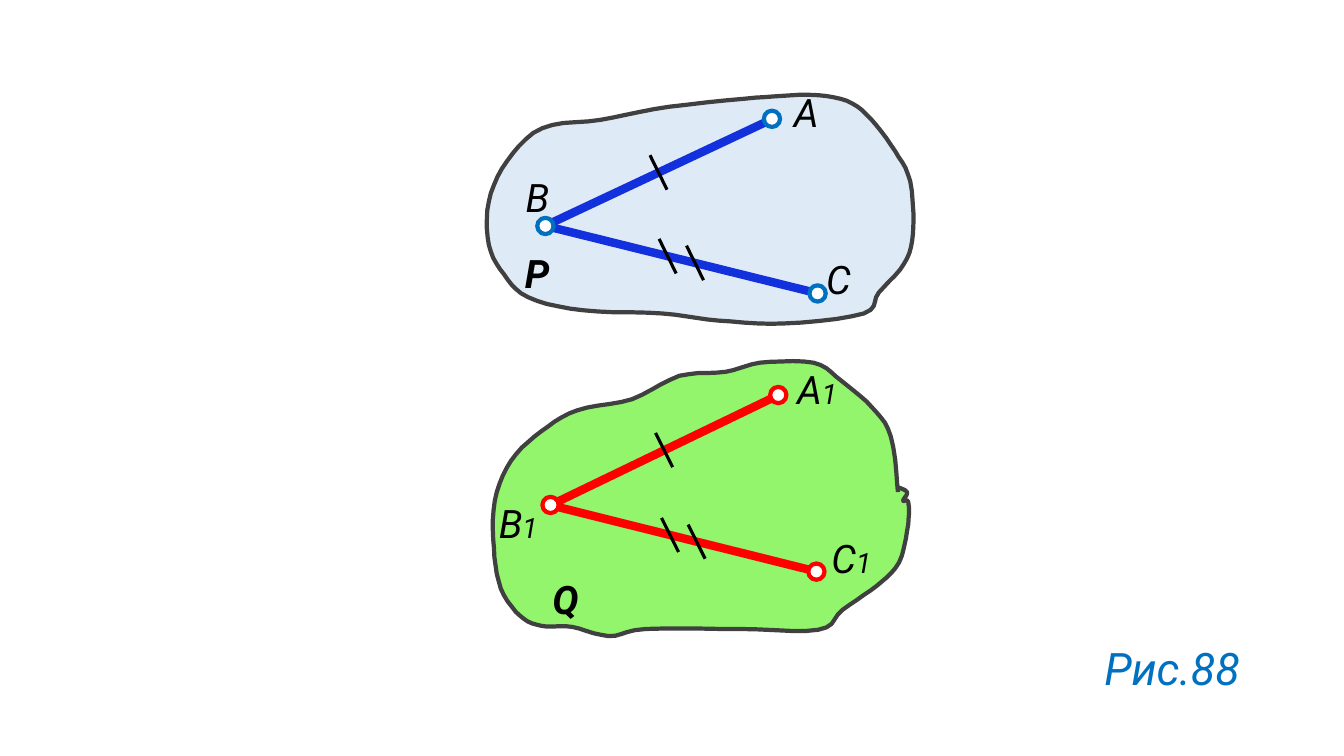
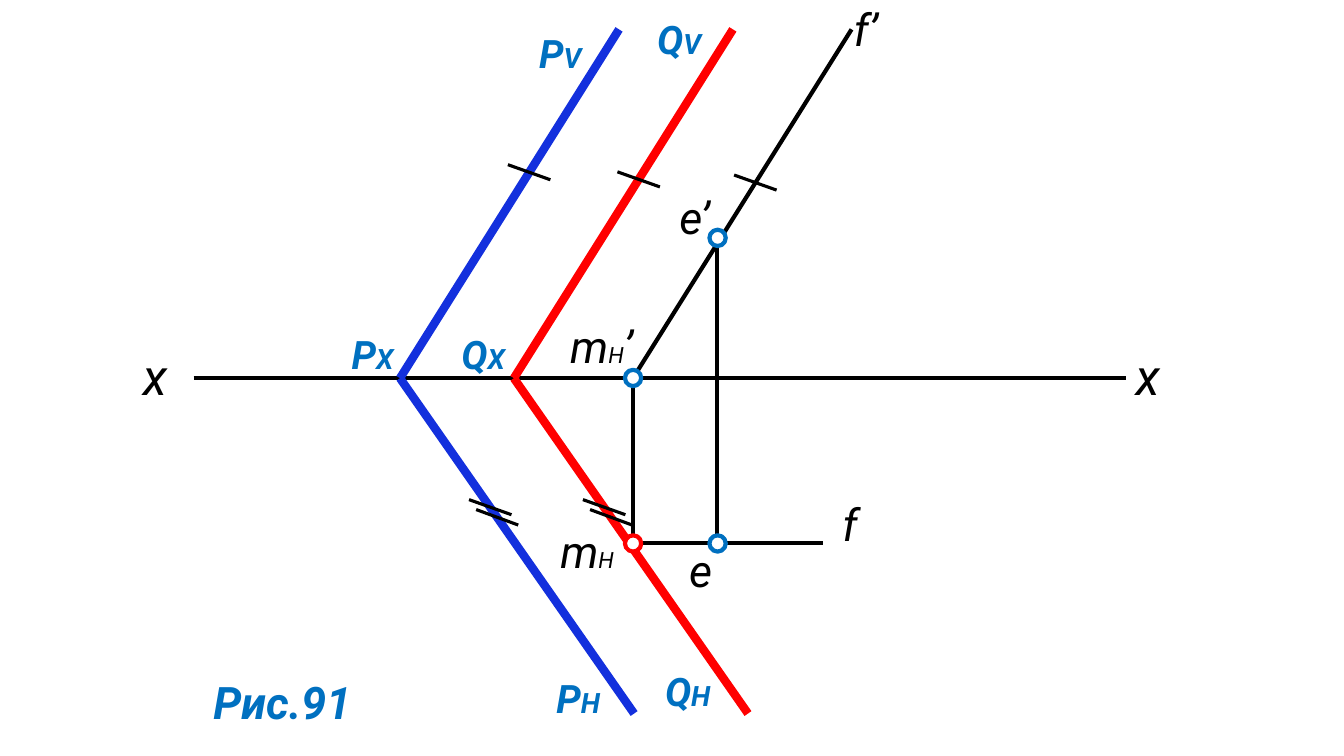
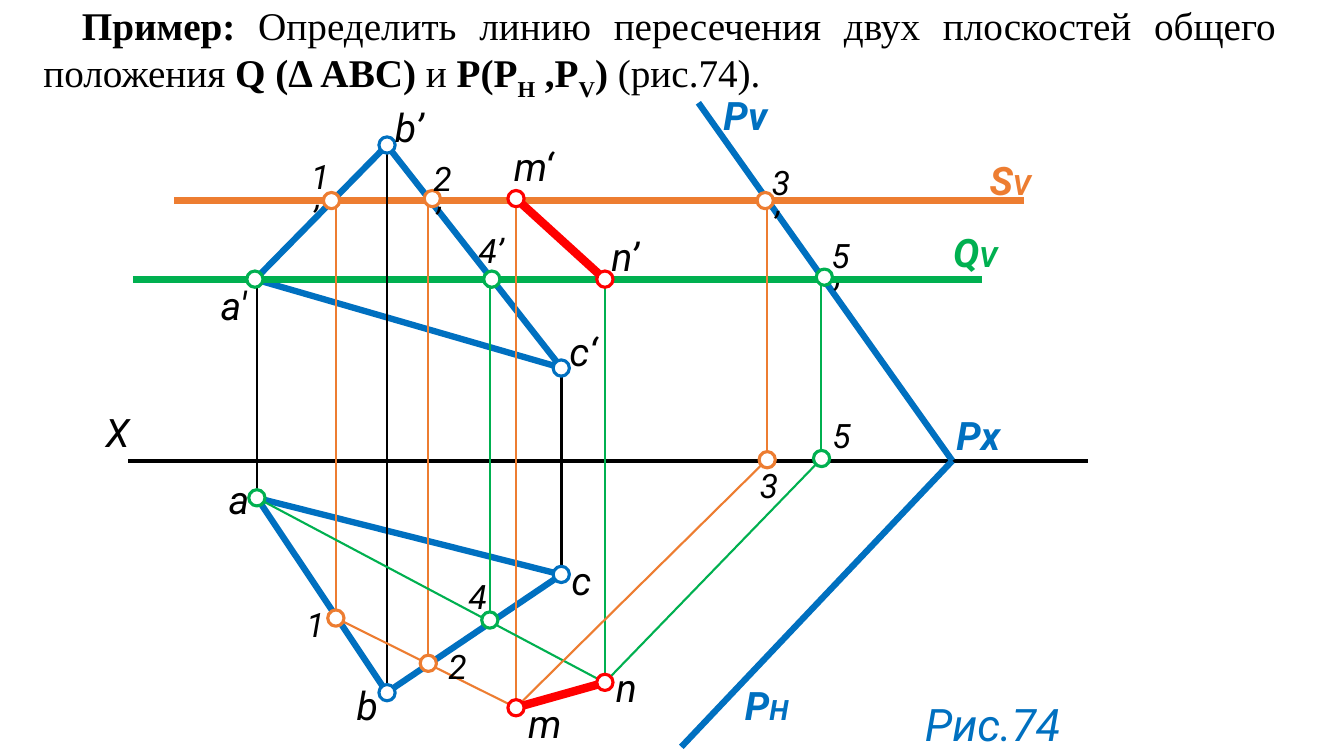
from itertools import pairwise

from lxml.etree import SubElement
from pptx import Presentation
from pptx.dml.color import RGBColor
from pptx.enum.shapes import MSO_CONNECTOR, MSO_SHAPE
from pptx.enum.text import MSO_ANCHOR, MSO_AUTO_SIZE, PP_ALIGN
from pptx.oxml.ns import qn
from pptx.util import Cm, Pt

INK = {
    "black": "000000", "white": "FFFFFF", "gray": "404040",
    "blue": "0070C0", "deep": "1330DD", "pale": "DEEBF7",
    "lime": "92F56B", "red": "FF0000", "green": "00B050", "orange": "ED7D31",
}
FRAME = {"word_wrap": True, "auto_size": MSO_AUTO_SIZE.SHAPE_TO_FIT_TEXT,
         "vertical_anchor": MSO_ANCHOR.TOP}
LABEL = {"name": "Roboto", "italic": True, "bold": False}
BOLD = {**LABEL, "bold": True}
DOT = 0.16
WIDE = 0.64
THIN, TICK, AXIS, SIDE, THICK = 1.5, 2.25, 3, 4.5, 6


def color(name):
    return RGBColor.from_string(INK[name])


def scale(*nums):
    return [Cm(round(num * 2.54, 2)) for num in nums]


def apply(part, form):
    for key, value in form.items():
        setattr(part, key, value)


def shift(point, across, down):
    return point[0] + across, point[1] + down


def along(start, end, ratio):
    return tuple(a + (b - a) * ratio for a, b in zip(start, end))


def smooth(knots, steps=5):
    curve = [knots[0]]
    padded = [knots[0], *knots, knots[-1]]
    for before, start, end, after in zip(padded, padded[1:], padded[2:], padded[3:]):
        for step in range(1, steps + 1):
            t = step / steps
            curve.append(tuple(
                b + t * ((c - a) + t * ((2 * a - 5 * b + 4 * c - d)
                                        + t * (3 * b - a - 3 * c + d))) / 2
                for a, b, c, d in zip(before, start, end, after)))
    return curve


def paint(shape, fill, edge, width):
    shape.shadow.inherit = False
    if fill:
        shape.fill.solid()
        shape.fill.fore_color.rgb = color(fill)
    else:
        shape.fill.background()
    shape.line.color.rgb = color(edge)
    shape.line.width = Pt(width)


def outline(slide, points, fill, edge, width, close):
    first, *rest = [scale(*point) for point in points]
    pen = slide.shapes.build_freeform(*first, scale=1.0)
    pen.add_line_segments(rest, close=close)
    paint(pen.convert_to_shape(), fill, edge, width)


def chain(slide, ink, width, *points):
    for start, end in pairwise(points):
        line = slide.shapes.add_connector(MSO_CONNECTOR.STRAIGHT, *scale(*start, *end))
        line.line.color.rgb = color(ink)
        line.line.width = Pt(width)
        SubElement(line._element.spPr, qn("a:effectLst"))


def ticks(slide, start, end, lean, count, ratio=0.5, gap=0.1):
    across, down = lean
    for turn in range(count):
        spot = along(start, end, ratio + gap * (turn - (count - 1) / 2))
        chain(slide, "black", TICK, shift(spot, -across / 2, -down / 2),
              shift(spot, across / 2, down / 2))


def add_run(para, text, ink, form):
    run = para.add_run()
    run.text = text
    apply(run.font, form)
    run.font.color.rgb = color(ink)
    return run


def label(slide, text, x, y, ink="black", size=28, small=20, form=LABEL, wide=WIDE):
    box = slide.shapes.add_textbox(*scale(x, y, wide, size / 56 + 0.07))
    apply(box.text_frame, FRAME)
    para = box.text_frame.paragraphs[0]
    for turn, part in enumerate(text.split("_")):
        points = Pt(small if turn % 2 else size)
        add_run(para, part, ink, {**form, "size": points})


def names(slide, ink, spots):
    for text, (x, y) in spots.items():
        label(slide, text, x, y, ink, form=BOLD, wide=0.9)


def marks(slide, ink, width, spots, size=28, small=20):
    for text, (x, y, left, top, *wide) in spots.items():
        dot = slide.shapes.add_shape(
            MSO_SHAPE.OVAL, *scale(x - DOT / 2, y - DOT / 2, DOT, DOT))
        paint(dot, "white", ink, width)
        label(slide, text, left, top, size=size, small=small,
              wide=wide[0] if wide else WIDE)


def caption(slide, text, x, y, form=LABEL):
    label(slide, text, x, y, "blue", 32, form=form, wide=1.8)


def set_title(slide, pieces):
    title = slide.shapes.title
    apply(title, dict(zip(("left", "top", "width", "height"),
                          scale(0.13, -0.04, 12.63, 1.04))))
    apply(title.text_frame, FRAME)
    para = title.text_frame.paragraphs[0]
    apply(para, {"alignment": PP_ALIGN.JUSTIFY, "space_after": Pt(6)})
    left, indent = scale(0.2, 0.38)
    props = para._p.get_or_add_pPr()
    props.set("marL", str(left))
    props.set("indent", str(indent))
    for text, bold, base in pieces:
        form = {"name": "Times New Roman", "size": Pt(28), "bold": bold}
        run = add_run(para, text, "black", form)
        if base:
            run._r.get_or_add_rPr().set("baseline", str(base * 1000))


def draw_angle(slide, ink, edge, spots):
    arm, apex, leg = [spot[:2] for spot in spots.values()]
    chain(slide, ink, THICK, arm, apex, leg)
    for end, count in ((arm, 1), (leg, 2)):
        ticks(slide, apex, end, (0.17, 0.34), count)
    marks(slide, edge, AXIS, spots)


def draw_angles(slide):
    upper = [
        (7.5, 0.97), (6.64, 1.06), (5.96, 1.19), (5.38, 1.27), (5.03, 1.6), (4.85, 2),
        (4.85, 2.43), (5, 2.72), (5.24, 2.95), (5.79, 3.08), (6.57, 3.11), (7.13, 3.18),
        (7.79, 3.21), (8.57, 3.11), (8.72, 2.9), (8.97, 2.62), (9.06, 2.31), (9.03, 1.8),
        (8.88, 1.5), (8.64, 1.18), (8.4, 1), (8.03, 0.94), (7.5, 0.97),
    ]
    lower = [
        (8.91, 4.88), (8.84, 4.33), (8.65, 4.04), (8.35, 3.78), (8.07, 3.6), (7.54, 3.6),
        (7.2, 3.69), (6.74, 3.73), (6.27, 3.96), (5.73, 4.07), (5.37, 4.28), (5.07, 4.57),
        (4.91, 4.97), (4.9, 5.44), (4.97, 5.84), (5.16, 6.11), (5.37, 6.21), (5.68, 6.22),
        (6.04, 6.31), (6.41, 6.24), (7.34, 6.24), (8.12, 6.25), (8.36, 6.05), (8.7, 5.81),
        (8.92, 5.58), (9.01, 5.2), (9.01, 4.98), (8.96, 4.97), (9, 4.88), (8.89, 4.83),
    ]
    for knots, fill in ((lower, "lime"), (upper, "pale")):
        outline(slide, smooth(knots), fill, "gray", AXIS, False)
    draw_angle(slide, "deep", "blue", {
        "A": (7.66, 1.18, 7.78, 0.83),
        "B": (5.41, 2.24, 5.12, 1.67),
        "C": (8.11, 2.91, 8.1, 2.49),
    })
    draw_angle(slide, "red", "red", {
        "A_1": (7.72, 3.92, 7.81, 3.58),
        "B_1": (5.46, 5.01, 4.85, 4.9),
        "C_1": (8.1, 5.67, 8.15, 5.25),
    })
    names(slide, "black", {"P": (5.11, 2.43), "Q": (5.38, 5.66)})
    caption(slide, "Рис.88", 10.86, 6.31)


def draw_traces(slide):
    lean, rise, fall = (0.42, 0.15), (2.17, -3.46), (2.32, 3.33)
    axis, foot, base = 3.75, 6.28, 5.39
    first, low, high = (foot, axis), (foot, base), (7.12, 2.36)
    chain(slide, "black", AXIS, (1.92, axis), (11.17, axis))
    for x, ink, ratio in ((3.97, "deep", 0.59), (5.1, "red", 0.57)):
        apex = (x, axis)
        top, end = shift(apex, *rise), shift(apex, *fall)
        chain(slide, ink, THICK, top, apex, end)
        ticks(slide, apex, top, lean, 1, ratio)
        ticks(slide, apex, end, lean, 2, 0.4, 0.03)
    front = shift(first, *rise)
    chain(slide, "black", AXIS, front, first, low, (8.17, base))
    chain(slide, "black", AXIS, high, (high[0], base))
    ticks(slide, first, front, lean, 1, 0.56)
    marks(slide, "blue", AXIS, {
        "m_H_’": (*first, 5.56, 3.11, 1.01),
        "e’": (*high, 6.64, 1.83),
        "e": (high[0], base, 6.74, 5.33),
    }, 32, 16)
    marks(slide, "red", AXIS, {"m_H": (*low, 5.46, 5.15, 1.07)}, 32, 16)
    names(slide, "blue", {
        "P_H": (5.42, 6.64), "P_V": (5.25, 0.24), "P_X": (3.39, 3.23),
        "Q_H": (6.5, 6.57), "Q_V": (6.42, 0.1), "Q_X": (4.48, 3.23),
    })
    label(slide, "f", 8.26, 4.88, size=32)
    label(slide, "f’", 8.37, -0.03, size=32)
    for x in (1.32, 11.17):
        label(slide, "x", x, 3.37, size=36)
    caption(slide, "Рис.91", 2.02, 6.64, BOLD)


def draw_planes(slide):
    set_title(slide, [
        ("Пример:", True, 0),
        (" Определить линию пересечения двух плоскостей общего положения ", False, 0),
        ("Q (Δ АВС) ", True, 0), ("и ", False, 0), ("P(P", True, 0), ("H", True, -25),
        (" ,P", True, 0), ("V", True, -25), (") ", True, 0), ("(рис.74).", False, 0),
    ])
    axis, cut, level = 4.57, 1.99, 2.77
    digits = {
        "orange": {
            "1’": (3.29, cut, 2.99, 1.5, 0.39), "1": (3.33, 6.13, 2.94, 5.94, 0.38),
            "2’": (4.29, 1.97, 4.2, 1.52, 0.44), "2": (4.25, 6.58, 4.35, 6.36, 0.36),
            "3’": (7.59, cut, 7.56, 1.56, 0.44), "3": (7.61, 4.56, 7.44, 4.56, 0.36),
        },
        "green": {
            "4’": (4.88, level, 4.65, 2.23, 0.46), "4": (4.86, 6.15, 4.55, 5.67, 0.38),
            "5’": (8.18, 2.75, 8.15, 2.28, 0.44), "5": (8.15, 4.55, 8.16, 4.07, 0.36),
        },
    }
    letters = {
        "green": {"a'": (2.53, level, 2.09, 2.74), "a": (2.55, 4.94, 2.17, 4.67)},
        "blue": {
            "b’": (3.84, 1.44, 3.82, 0.98), "b": (3.84, 6.87, 3.44, 6.71),
            "c‘": (5.57, 3.65, 5.55, 3.2), "c": (5.57, 5.7, 5.57, 5.47),
        },
        "red": {
            "m‘": (5.12, 1.97, 5, 1.36), "m": (5.12, 7.02, 5.14, 6.89),
            "n’": (6, level, 5.97, 2.26), "n": (6, 6.77, 6.01, 6.53),
        },
    }
    spot = {text: row[:2] for group in (digits, letters)
            for rows in group.values() for text, row in rows.items()}

    for corners in (("a'", "b’", "c‘"), ("a", "b", "c")):
        outline(slide, [spot[text] for text in corners], None, "blue", SIDE, True)
    chain(slide, "black", AXIS, (1.27, axis), (10.8, axis))
    chain(slide, "blue", SIDE, (6.93, 1.02), (9.45, axis), (6.76, 7.41))
    for ink, left, right, y in (("green", 1.32, 9.74, level), ("orange", 1.73, 10.16, cut)):
        chain(slide, ink, SIDE, (left, y), (right, y))
    for ink, pairs in {
        "black": (("a'", "a"), ("b’", "b"), ("c‘", "c")),
        "orange": (("1’", "1"), ("2’", "2"), ("3’", "3"), ("m‘", "m")),
        "green": (("4’", "4"), ("5’", "5"), ("n’", "n")),
    }.items():
        for front, plan in pairs:
            x, y = spot[plan]
            chain(slide, ink, THIN, (x, spot[front][1]), (x, y))
    for ink, width, start, end in (
        ("green", THIN, "a", "n"), ("green", THIN, "5", "n"),
        ("orange", THIN, "1", "m"), ("orange", THIN, "3", "m"),
        ("red", THICK, "m‘", "n’"), ("red", THICK, "m", "n"),
    ):
        chain(slide, ink, width, spot[start], spot[end])
    for group, size in ((digits, 24), (letters, 28)):
        for ink, rows in group.items():
            marks(slide, ink, TICK, rows, size)

    names(slide, "blue", {"P_H": (7.29, 6.71), "Pv": (7.08, 0.86), "Px": (9.39, 4.03)})
    names(slide, "green", {"Q_V": (9.36, 2.22)})
    names(slide, "orange", {"S_V": (9.72, 1.5)})
    label(slide, "X", 0.95, 4)
    caption(slide, "Рис.74", 9.08, 6.86)


def main():
    deck = Presentation()
    deck.slide_width, deck.slide_height = Cm(33.87), Cm(19.05)
    titled, blank = deck.slide_layouts[5], deck.slide_layouts[6]
    for draw, layout in ((draw_angles, blank), (draw_traces, blank), (draw_planes, titled)):
        draw(deck.slides.add_slide(layout))
    deck.save("out.pptx")


if __name__ == "__main__":
    main()
